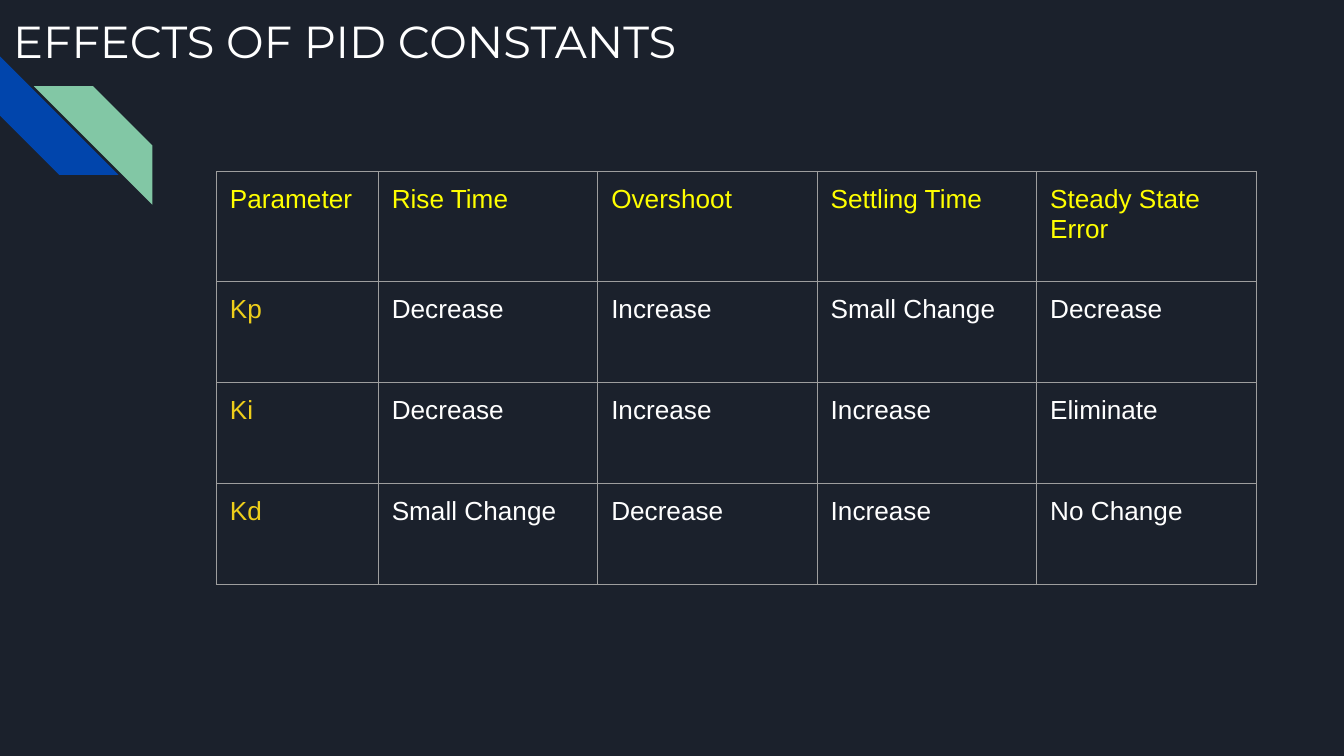
import pptx
import pptx.dml.color
import pptx.enum.shapes
import pptx.enum.text
import pptx.oxml
import pptx.oxml.ns
import pptx.util

Pt = pptx.util.Pt
INSET = Pt(7.2)

EFFECTS = [
    ["Parameter", "Rise Time", "Overshoot", "Settling Time", "Steady State Error"],
    ["Kp", "Decrease", "Increase", "Small Change", "Decrease"],
    ["Ki", "Decrease", "Increase", "Increase", "Eliminate"],
    ["Kd", "Small Change", "Decrease", "Increase", "No Change"],
]


def color(hex_value):
    return pptx.dml.color.RGBColor.from_string(hex_value)


def write(frame, text, size=14, font="Arial", ink="FFFFFF"):
    frame.word_wrap = True
    run = frame.paragraphs[0].add_run()
    run.text = text
    run.font.size = Pt(size)
    run.font.name = font
    run.font.bold = False
    run.font.color.rgb = color(ink)


def set_insets(holder):
    holder.margin_left = holder.margin_right = INSET
    holder.margin_top = holder.margin_bottom = INSET


def add_stripe(slide, left, top, size, fill, rotation=0, mirrored=False):
    stripe = slide.shapes.add_shape(
        pptx.enum.shapes.MSO_SHAPE.DIAGONAL_STRIPE,
        Pt(left), Pt(top), Pt(size), Pt(size))
    stripe.adjustments[0] = 0.5
    stripe.rotation = rotation
    stripe.shadow.inherit = False
    stripe.fill.solid()
    stripe.fill.fore_color.rgb = color(fill)
    stripe.line.fill.background()
    if mirrored:
        stripe._element.spPr.xfrm.set("flipH", "1")


def add_corner_ornament(slide, left, top, size):
    add_stripe(slide, left, top, size, "0145AC", rotation=270)
    add_stripe(slide, left + 18.2, top + 16, size, "82C7A5", mirrored=True)


def add_title(slide, left, top, width, height):
    title = slide.shapes.add_textbox(Pt(left), Pt(top), Pt(width), Pt(height))
    set_insets(title.text_frame)
    title.text_frame.vertical_anchor = pptx.enum.text.MSO_ANCHOR.TOP
    write(title.text_frame, "EFFECTS OF PID CONSTANTS", size=24, font="Montserrat")


def add_borders(cell, ink, width):
    # Border lines come before the fill in the cell properties
    properties = cell._tc.get_or_add_tcPr()
    for position, side in enumerate(("lnL", "lnR", "lnT", "lnB")):
        border = pptx.oxml.parse_xml(
            f'<a:{side} {pptx.oxml.ns.nsdecls("a")} w="{Pt(width)}">'
            f'<a:solidFill><a:srgbClr val="{ink}"/></a:solidFill></a:{side}>')
        properties.insert(position, border)


def add_effects_table(slide, left, top, width, height):
    label_width, header_height = 86.7, 58.7
    row_count, column_count = len(EFFECTS), len(EFFECTS[0])
    table = slide.shapes.add_table(
        row_count, column_count, Pt(left), Pt(top), Pt(width), Pt(height)).table
    table.first_row = table.horz_banding = False

    # The label column and header row differ; the rest share the space equally
    for index, column in enumerate(table.columns):
        column.width = Pt((width - label_width) / (column_count - 1) if index else label_width)
    for index, row in enumerate(table.rows):
        row.height = Pt((height - header_height) / (row_count - 1) if index else header_height)

    for r, effects in enumerate(EFFECTS):
        for c, effect in enumerate(effects):
            cell = table.cell(r, c)
            set_insets(cell)
            cell.fill.background()
            add_borders(cell, "9E9E9E", 0.75)
            ink = "FFFF00" if r == 0 else "EECE1A" if c == 0 else "FFFFFF"
            write(cell.text_frame, effect, ink=ink)


def main():
    deck = pptx.Presentation()
    deck.slide_width, deck.slide_height = Pt(720), Pt(405)
    slide = deck.slides.add_slide(deck.slide_layouts[6])
    slide.background.fill.solid()
    slide.background.fill.fore_color.rgb = color("1B212C")

    add_corner_ornament(slide, 0, 30.2, 63.5)
    add_title(slide, 0, 0, 588, 72)
    add_effects_table(slide, 116, 92, 557.1, 221)
    deck.save("out.pptx")


if __name__ == "__main__":
    main()
